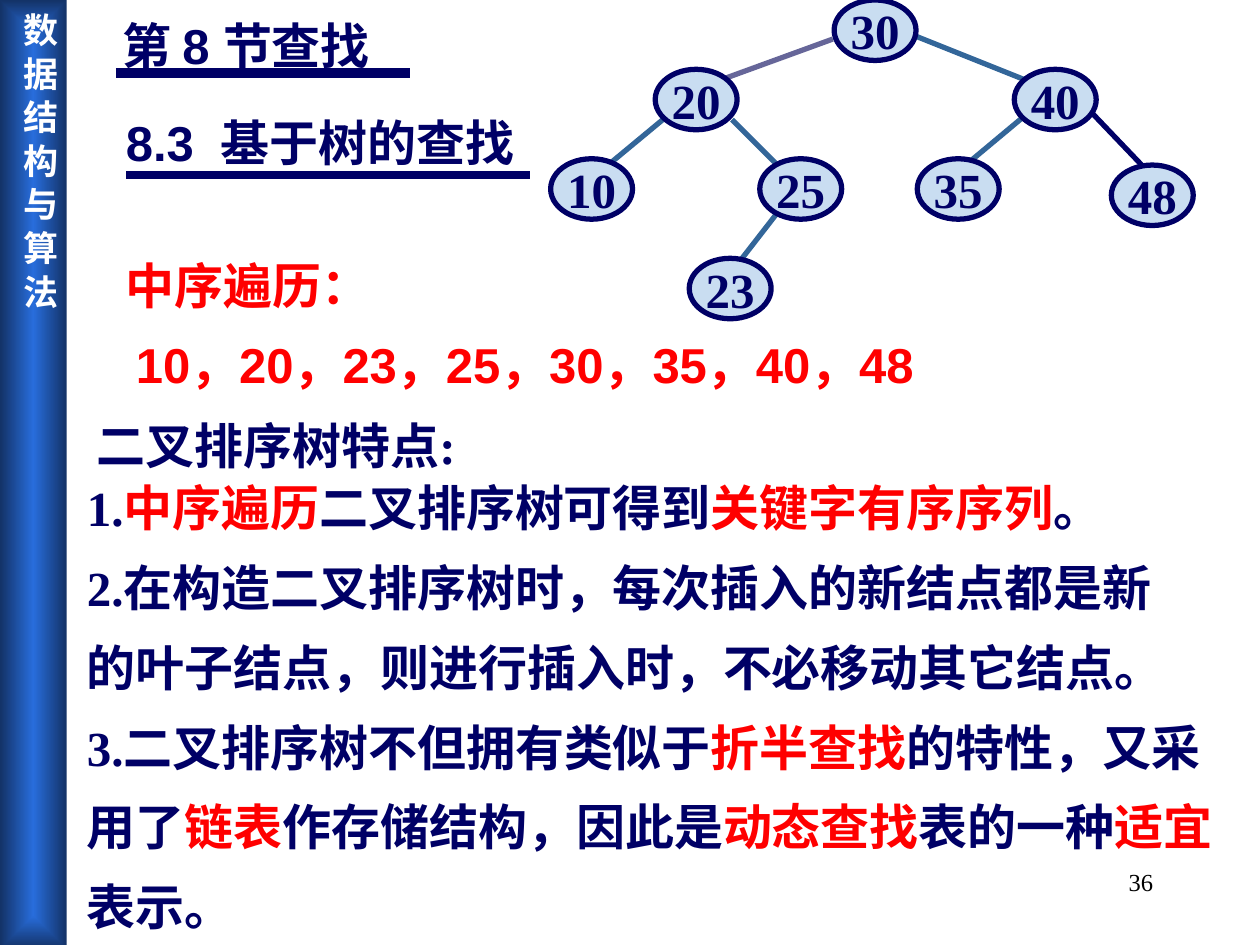
from lxml import etree
from pptx import Presentation
from pptx.dml.color import RGBColor
from pptx.enum.shapes import MSO_CONNECTOR, MSO_SHAPE
from pptx.enum.text import MSO_ANCHOR, MSO_AUTO_SIZE, PP_ALIGN
from pptx.oxml.ns import qn
from pptx.util import Inches, Pt

STRAIGHT = MSO_CONNECTOR.STRAIGHT
RECTANGLE, OVAL = MSO_SHAPE.RECTANGLE, MSO_SHAPE.OVAL
TOP, MIDDLE = MSO_ANCHOR.TOP, MSO_ANCHOR.MIDDLE
LEFT, CENTER, RIGHT = PP_ALIGN.LEFT, PP_ALIGN.CENTER, PP_ALIGN.RIGHT
NO_AUTOFIT = MSO_AUTO_SIZE.NONE

NAVY, RED, WHITE, BLACK = "000066", "FF0000", "FFFFFF", "000000"
STEEL, VIOLET, PALE_BLUE = "336699", "666699", "C9DDF1"
SERIF, SANS, CHINESE = "Times New Roman", "Arial", "Noto Sans CJK SC"
NODE_WIDTH, NODE_HEIGHT = 0.65, 0.48

NODES = [
    ("30", 6.62, 0), ("20", 5.2, 0.55), ("40", 8.05, 0.55),
    ("10", 4.37, 1.26), ("25", 6.03, 1.26), ("35", 7.28, 1.26),
    ("48", 8.82, 1.31), ("23", 5.47, 2.05),
]
EDGES = [
    (6.61, 0.31, 5.76, 0.62, VIOLET), (7.25, 0.28, 8.15, 0.64, STEEL),
    (5.26, 0.95, 4.79, 1.34, STEEL), (5.81, 0.95, 6.2, 1.34, STEEL),
    (8.12, 0.93, 7.7, 1.28, STEEL), (8.67, 0.9, 9.09, 1.34, NAVY),
    (6.2, 1.65, 5.89, 2.05, STEEL),
]
# Every second part between bars is a highlighted term.
FEATURES = [
    "1.|中序遍历|二叉排序树可得到|关键字有序序列|。",
    "2.在构造二叉排序树时，每次插入的新结点都是新",
    "的叶子结点，则进行插入时，不必移动其它结点。",
    "3.二叉排序树不但拥有类似于|折半查找|的特性，又采",
    "用了|链表|作存储结构，因此是|动态查找|表的一种|适宜",
    "表示。",
]


def rgb(value):
    return RGBColor.from_string(value)


def add_run(paragraph, text, font=SERIF, color=NAVY, size=28, bold=True):
    run = paragraph.add_run()
    run.text = text
    formats = {"name": font, "size": Pt(size), "bold": bold}
    for name, value in formats.items():
        setattr(run.font, name, value)
    run.font.color.rgb = rgb(color)
    east_asian = etree.SubElement(run.font._element, qn("a:ea"))
    east_asian.set("typeface", CHINESE)


def format_frame(shape, **changes):
    formats = {"word_wrap": True, "auto_size": NO_AUTOFIT, "vertical_anchor": TOP}
    for name, value in (formats | changes).items():
        setattr(shape.text_frame, name, value)
    return shape.text_frame


def place(shape, left, top, width, height):
    box = {"left": left, "top": top, "width": width, "height": height}
    for name, value in box.items():
        setattr(shape, name, Inches(value))


def add_text(slide, box, text, spacing=1, alignment=LEFT, **font_formats):
    shape = slide.shapes.add_textbox(*map(Inches, box))
    paragraph = format_frame(shape).paragraphs[0]
    paragraph.line_spacing = spacing
    paragraph.alignment = alignment
    add_run(paragraph, text, **font_formats)
    return paragraph


def add_line(slide, start_x, start_y, end_x, end_y, color, width=3):
    points = map(Inches, (start_x, start_y, end_x, end_y))
    line = slide.shapes.add_connector(STRAIGHT, *points)
    line.line.color.rgb = rgb(color)
    line.line.width = Pt(width)
    etree.SubElement(line._element.spPr, qn("a:effectLst"))


def add_node(slide, key, left, top):
    box = map(Inches, (left, top, NODE_WIDTH, NODE_HEIGHT))
    node = slide.shapes.add_shape(OVAL, *box)
    node.shadow.inherit = False
    node.fill.solid()
    node.fill.fore_color.rgb = rgb(PALE_BLUE)
    node.line.color.rgb = rgb(NAVY)
    node.line.width = Pt(3)
    frame = format_frame(node, word_wrap=False, vertical_anchor=MIDDLE)
    frame.paragraphs[0].alignment = CENTER
    add_run(frame.paragraphs[0], key)


def add_sidebar(slide):
    """Draw the vertical course name on a gradient that is brightest in the middle."""
    sidebar = slide.shapes.add_shape(RECTANGLE, 0, 0, Inches(0.53), Inches(7.53))
    sidebar.shadow.inherit = False
    sidebar.line.fill.background()
    sidebar.fill.gradient()
    for stop, color in zip(sidebar.fill.gradient_stops, ("286DDC", "133266")):
        stop.color.rgb = rgb(color)
    gradient = sidebar._element.spPr.find(qn("a:gradFill"))
    gradient.remove(gradient.find(qn("a:lin")))
    shade = etree.Element(qn("a:path"), {"path": "rect"})
    center = {side: "50000" for side in "ltrb"}
    etree.SubElement(shade, qn("a:fillToRect"), center)
    gradient.find(qn("a:gsLst")).addnext(shade)

    frame = format_frame(sidebar, margin_left=Inches(0.05), margin_right=Inches(0.05),
                         margin_top=Inches(0.1), margin_bottom=Inches(0.1))
    frame._txBody.bodyPr.set("vert", "eaVert")
    frame.paragraphs[0].alignment = CENTER
    add_run(frame.paragraphs[0], "数 据 结 构 与 算 法", CHINESE, WHITE, 20)


def fill_title(slide):
    title = slide.shapes.title
    place(title, 0.87, 0.07, 2.55, 0.57)
    paragraph = format_frame(title).paragraphs[0]
    paragraph.alignment = LEFT
    add_run(paragraph, "第 8 节查找", SANS)


def fill_features(slide):
    body = slide.placeholders[1]
    place(body, 0.59, 3.67, 9.84, 3.81)
    frame = format_frame(body)
    for index, feature in enumerate(FEATURES):
        paragraph = frame.add_paragraph() if index else frame.paragraphs[0]
        paragraph.line_spacing = 1.15
        paragraph.space_before = Pt(7)
        properties = paragraph._p.get_or_add_pPr()
        properties.set("marL", str(Inches(0.5)))
        properties.set("indent", str(Inches(-0.5)))
        etree.SubElement(properties, qn("a:buNone"))
        for position, part in enumerate(feature.split("|")):
            add_run(paragraph, part, color=RED if position % 2 else NAVY)


def main():
    presentation = Presentation()
    presentation.slide_width = Inches(10)
    presentation.slide_height = Inches(7.5)
    slide = presentation.slides.add_slide(presentation.slide_layouts[1])

    add_sidebar(slide)
    add_text(slide, (7.17, 6.83, 2.08, 0.5), "36", alignment=RIGHT,
             color=BLACK, size=14, bold=False)
    for edge in EDGES:
        add_line(slide, *edge)
    for node in NODES:
        add_node(slide, *node)

    fill_title(slide)
    add_line(slide, 0.92, 0.58, 3.25, 0.58, NAVY, 6)
    section = add_text(slide, (0.9, 0.84, 3.62, 0.57), "8.3  ", font=SANS)
    add_run(section, "基于树的查找", CHINESE)
    add_line(slide, 1, 1.39, 4.21, 1.39, NAVY, 4.25)

    add_text(slide, (0.9, 1.86, 2.84, 0.69), "中序遍历：", 1.25, font=SANS, color=RED)
    add_text(slide, (0.98, 2.49, 7.88, 0.69), "10，20，23，25，30，35，40，48",
             1.25, font=SANS, color=RED)
    add_text(slide, (0.67, 3.2, 3.54, 0.62), "二叉排序树特点:", 1.1)
    fill_features(slide)
    presentation.save("out.pptx")


if __name__ == "__main__":
    main()
